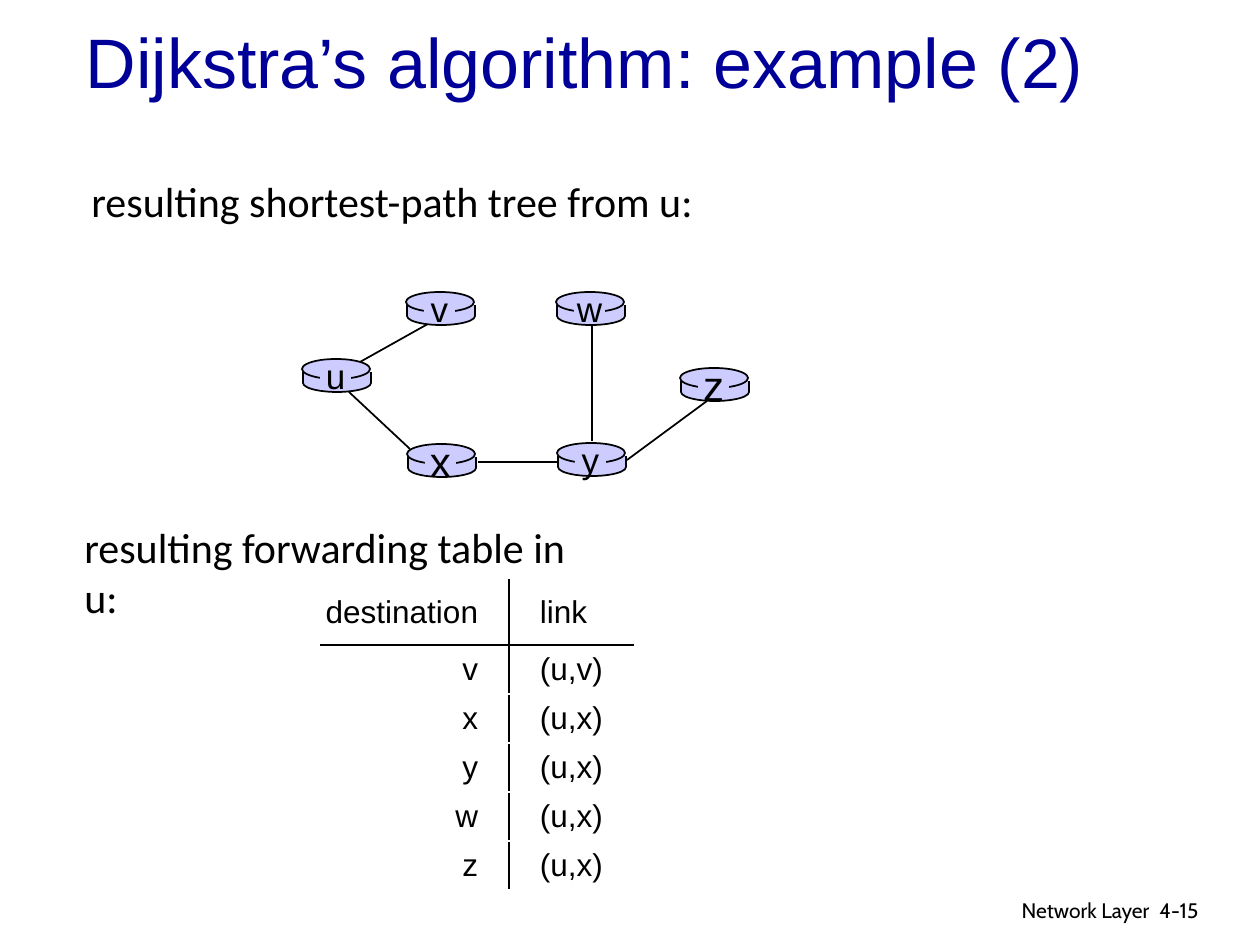
"""Build the slide on the example result of Dijkstra's algorithm."""
from dataclasses import dataclass

from lxml import etree
from pptx import Presentation
from pptx.dml.color import RGBColor
from pptx.enum.shapes import MSO_CONNECTOR, MSO_SHAPE
from pptx.enum.text import MSO_ANCHOR, MSO_AUTO_SIZE, PP_ALIGN
from pptx.oxml.ns import qn
from pptx.util import Emu, Pt

STRAIGHT = MSO_CONNECTOR.STRAIGHT
ELLIPSE, RECTANGLE = MSO_SHAPE.OVAL, MSO_SHAPE.RECTANGLE
LEFT, CENTER, RIGHT = PP_ALIGN.LEFT, PP_ALIGN.CENTER, PP_ALIGN.RIGHT
TOP, MIDDLE = MSO_ANCHOR.TOP, MSO_ANCHOR.MIDDLE
NO_AUTOFIT = MSO_AUTO_SIZE.NONE
EMU_PER_PX = 914400 / 126
TITLE_ONLY = 5


@dataclass(frozen=True)
class Theme:
    """Colours, fonts, type sizes and line widths of the slide."""

    ink: str = "000000"
    title: str = "000099"
    router: str = "CCCCFF"
    sans: str = "Arial"
    body: str = "Calibri"
    footer: str = "Cabin"
    title_size: int = 40
    large_size: int = 24
    label_size: int = 20
    table_size: int = 18
    footer_size: int = 12
    link_width: float = 1
    rule_width: float = 0.75


THEME = Theme()
ROUTERS = {
    "u": (302, 359, THEME.label_size),
    "x": (407, 444, THEME.large_size),
    "v": (406, 292, THEME.label_size),
    "w": (556, 292, THEME.label_size),
    "y": (557, 443, THEME.label_size),
    "z": (680, 368, THEME.large_size),
}
TREE_LINKS = [
    (360, 362, 435, 320),
    (592, 326, 592, 441),
    (627, 460, 707, 401),
    (558, 462, 478, 462),
    (410, 449, 349, 392),
]
FORWARDING = [
    ("destination", "link"),
    ("v", "(u,v)"),
    ("x", "(u,x)"),
    ("y", "(u,x)"),
    ("w", "(u,x)"),
    ("z", "(u,x)"),
]


def px(length):
    """Turn pixels into EMU."""
    return Emu(round(length * EMU_PER_PX))


def apply_format(target, values):
    """Set every attribute in a dict of format values."""
    for attribute, value in values.items():
        setattr(target, attribute, value)


def write(frame, text, font, size, color=THEME.ink, align=LEFT):
    """Put one formatted line of text into a text frame."""
    paragraph = frame.paragraphs[0]
    paragraph.alignment = align
    run = paragraph.add_run()
    run.text = text
    apply_format(run.font, {"name": font, "size": Pt(size), "bold": False})
    run.font.color.rgb = RGBColor.from_string(color)


def add_title(slide, text):
    """Move, format and fill the title placeholder."""
    title = slide.shapes.title
    apply_format(title, {"left": px(73), "top": px(21), "width": px(1071), "height": px(79)})
    apply_format(title.text_frame, {"vertical_anchor": MIDDLE, "auto_size": NO_AUTOFIT})
    write(title.text_frame, text, THEME.sans, THEME.title_size, THEME.title)


def add_text(slide, text, box, font, size, align=LEFT):
    """Add a wrapping text box."""
    frame = slide.shapes.add_textbox(*map(px, box)).text_frame
    apply_format(frame, {"word_wrap": True, "vertical_anchor": TOP})
    write(frame, text, font, size, align=align)


def add_line(shapes, start_x, start_y, end_x, end_y):
    """Add a thin straight line without a shadow."""
    line = shapes.add_connector(STRAIGHT, *map(px, (start_x, start_y, end_x, end_y)))
    line.line.color.rgb = RGBColor.from_string(THEME.ink)
    line.line.width = Pt(THEME.link_width)
    etree.SubElement(line._element.spPr, qn("a:effectLst"))


def add_part(shapes, preset, box, outlined=False):
    """Add one filled part of a router."""
    part = shapes.add_shape(preset, *map(px, box))
    part.shadow.inherit = False
    part.fill.solid()
    part.fill.fore_color.rgb = RGBColor.from_string(THEME.router)
    if outlined:
        part.line.color.rgb = RGBColor.from_string(THEME.ink)
        part.line.width = Pt(THEME.link_width)
    else:
        part.line.fill.background()
    return part


def add_router(slide, name, left, top, size):
    """Add a flat cylinder with the node's name on it."""
    parts = slide.shapes.add_group_shape().shapes
    add_part(parts, ELLIPSE, (left + 1, top + 15, 68, 18), outlined=True)
    add_part(parts, RECTANGLE, (left + 1, top + 13, 68, 11))
    for side in (left + 1, left + 69):
        add_line(parts, side, top + 13, side, top + 24)
    add_part(parts, ELLIPSE, (left, top, 68, 20), outlined=True)
    label = add_part(parts, RECTANGLE, (left + 18, top + 2, 31, 29)).text_frame
    margins = dict.fromkeys(("margin_left", "margin_right", "margin_top", "margin_bottom"), 0)
    apply_format(label, {**margins, "word_wrap": False, "vertical_anchor": MIDDLE})
    write(label, name, THEME.sans, size, align=CENTER)


def add_border(cell, side):
    """Draw one border of a table cell."""
    border = etree.SubElement(cell._tc.get_or_add_tcPr(), qn(f"a:{side}"))
    border.set("w", str(Pt(THEME.rule_width)))
    fill = etree.SubElement(border, qn("a:solidFill"))
    etree.SubElement(fill, qn("a:srgbClr")).set("val", THEME.ink)


def add_forwarding_table(slide, rows):
    """Add the table with a rule between its columns and one below its head."""
    widths, head_height, row_height, gap = (188, 124), 65, 49, 31
    height = head_height + row_height * (len(rows) - 1)
    box = map(px, (321, 580, sum(widths), height))
    table = slide.shapes.add_table(len(rows), len(widths), *box).table
    apply_format(table, {"first_row": False, "horz_banding": False})
    for column, width in zip(table.columns, widths):
        column.width = px(width)
    for row_index, values in enumerate(rows):
        table.rows[row_index].height = px(row_height if row_index else head_height)
        for column_index, value in enumerate(values):
            cell = table.cell(row_index, column_index)
            add_border(cell, "lnL" if column_index else "lnR")
            if row_index < 2:
                add_border(cell, "lnT" if row_index else "lnB")
            cell.fill.background()
            apply_format(cell, {
                "margin_left": px(gap if column_index else 0),
                "margin_right": px(0 if column_index else gap),
                "margin_top": 0,
                "margin_bottom": 0,
                "vertical_anchor": MIDDLE,
            })
            write(cell.text_frame, value, THEME.sans, THEME.table_size,
                  align=LEFT if column_index else RIGHT)


def main():
    """Build and save the slide."""
    deck = Presentation()
    apply_format(deck, {"slide_width": px(1260), "slide_height": px(945)})
    slide = deck.slides.add_slide(deck.slide_layouts[TITLE_ONLY])
    add_title(slide, "Dijkstra’s algorithm: example (2)")
    add_text(slide, "resulting shortest-path tree from u:", (79, 169, 630, 63),
             THEME.body, THEME.large_size)
    for link in TREE_LINKS:
        add_line(slide.shapes, *link)
    for name, (left, top, size) in ROUTERS.items():
        add_router(slide, name, left, top, size)
    add_text(slide, "resulting forwarding table in u:", (72, 515, 544, 63),
             THEME.body, THEME.large_size)
    add_forwarding_table(slide, FORWARDING)
    add_text(slide, "Network Layer", (762, 891, 400, 39),
             THEME.footer, THEME.footer_size, RIGHT)
    add_text(slide, "4-15", (1147, 891, 93, 38), THEME.footer, THEME.footer_size)
    deck.save("out.pptx")


if __name__ == "__main__":
    main()
